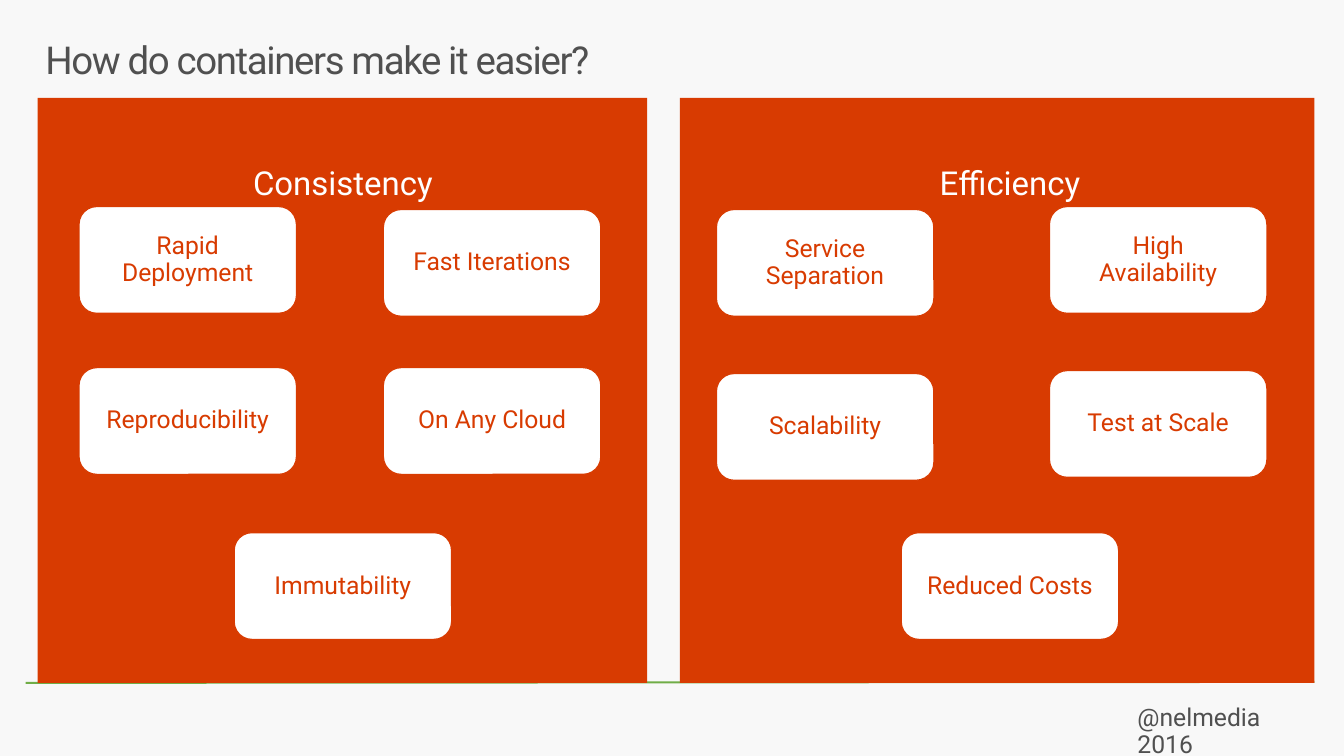
from pptx import Presentation
from pptx.dml.color import RGBColor
from pptx.enum.shapes import MSO_CONNECTOR, MSO_SHAPE
from pptx.enum.text import MSO_ANCHOR, PP_ALIGN
from pptx.oxml.ns import qn
from pptx.util import Inches, Pt

TITLE = "How do containers make it easier?"
FOOTER = "@nelmedia 2016"

# Each card: its paragraphs, its column in the panel, its top in inches
PANELS = [
    {
        "heading": "Consistency", "left": 0.38, "width": 6.17,
        "columns": {"left": 0.8, "middle": 2.37, "right": 3.88},
        "cards": [
            (["Rapid", "Deployment"], "left", 2.09),
            (["Fast Iterations"], "right", 2.12),
            (["Reproducibility"], "left", 3.72),
            (["On Any Cloud"], "right", 3.72),
            (["Immutability"], "middle", 5.39),
        ],
    },
    {
        "heading": "Efficiency", "left": 6.88, "width": 6.42,
        "columns": {"left": 7.25, "middle": 9.12, "right": 10.62},
        "cards": [
            (["Service Separation"], "left", 2.12),
            (["High Availability"], "right", 2.09),
            (["Scalability"], "left", 3.78),
            (["Test at Scale"], "right", 3.75),
            (["Reduced Costs"], "middle", 5.39),
        ],
    },
]

BACKGROUND = RGBColor(0xF8, 0xF8, 0xF8)
ORANGE = RGBColor(0xD8, 0x3B, 0x01)
WHITE = RGBColor(0xFF, 0xFF, 0xFF)
GREY = RGBColor(0x50, 0x50, 0x50)
GREEN = RGBColor(0x70, 0xAD, 0x47)

PANEL_TOP, PANEL_HEIGHT = 0.99, 5.92
CARD_WIDTH, CARD_HEIGHT = 2.2, 1.08
HEADING_TOP, HEADING_WIDTH, HEADING_HEIGHT = 0.74, 4.33, 2.25


def write(shape, paragraphs, size, color, align=PP_ALIGN.CENTER,
          anchor=MSO_ANCHOR.MIDDLE, inset=(0.2, 0.16), spacing=None):
    """Fill a shape with paragraphs; spacing is in hundredths of a point."""
    frame = shape.text_frame
    frame.word_wrap = True
    frame.vertical_anchor = anchor
    frame.margin_left = frame.margin_right = Inches(inset[0])
    frame.margin_top = frame.margin_bottom = Inches(inset[1])
    for index, text in enumerate(paragraphs):
        paragraph = frame.add_paragraph() if index else frame.paragraphs[0]
        paragraph.alignment = align
        paragraph.line_spacing = 0.9
        run = paragraph.add_run()
        run.text = text
        run.font.name = "Roboto"
        run.font.size = Pt(size)
        run.font.color.rgb = color
        if spacing is not None:
            run.font._element.set("spc", str(spacing))


def add_box(slide, preset, fill, left, top, width, height):
    box = slide.shapes.add_shape(
        preset, Inches(left), Inches(top), Inches(width), Inches(height))
    box.shadow.inherit = False
    box.fill.solid()
    box.fill.fore_color.rgb = fill
    box.line.fill.background()
    return box


def add_label(slide, text, size, color, left, top, width, height, **style):
    label = slide.shapes.add_textbox(
        Inches(left), Inches(top), Inches(width), Inches(height))
    write(label, [text], size, color, **style)


def add_base_line(slide):
    line = slide.shapes.add_connector(
        MSO_CONNECTOR.STRAIGHT,
        Inches(0.26), Inches(6.91), Inches(13.3), Inches(6.9))
    line.line.color.rgb = GREEN
    line.line.width = Pt(1.5)
    properties = line._element.spPr
    properties.append(properties.makeelement(qn("a:effectLst"), {}))


def add_panel(slide, panel):
    left, width = panel["left"], panel["width"]
    add_box(slide, MSO_SHAPE.RECTANGLE, ORANGE,
            left, PANEL_TOP, width, PANEL_HEIGHT)
    card_center = panel["columns"]["middle"] + CARD_WIDTH / 2
    add_label(slide, panel["heading"], 24, WHITE,
              card_center - HEADING_WIDTH / 2, HEADING_TOP,
              HEADING_WIDTH, HEADING_HEIGHT)
    for paragraphs, column, top in panel["cards"]:
        card = add_box(slide, MSO_SHAPE.ROUNDED_RECTANGLE, WHITE,
                       panel["columns"][column], top, CARD_WIDTH, CARD_HEIGHT)
        card.line.color.rgb = ORANGE
        card.line.width = Pt(0.85)
        write(card, paragraphs, 18, ORANGE)


def main():
    deck = Presentation()
    deck.slide_width, deck.slide_height = Inches(13.6), Inches(7.65)
    slide = deck.slides.add_slide(deck.slide_layouts[6])
    slide.background.fill.solid()
    slide.background.fill.fore_color.rgb = BACKGROUND

    corner = {"align": PP_ALIGN.LEFT, "anchor": MSO_ANCHOR.TOP}
    add_base_line(slide)
    add_label(slide, FOOTER, 18, GREY, 11.31, 6.98, 2.16, 0.6, **corner)
    add_label(slide, TITLE, 28, GREY, 0.3, 0.32, 13, 1.04,
              inset=(0.16, 0.1), spacing=-100, **corner)
    for panel in PANELS:
        add_panel(slide, panel)

    deck.save("out.pptx")


if __name__ == "__main__":
    main()
